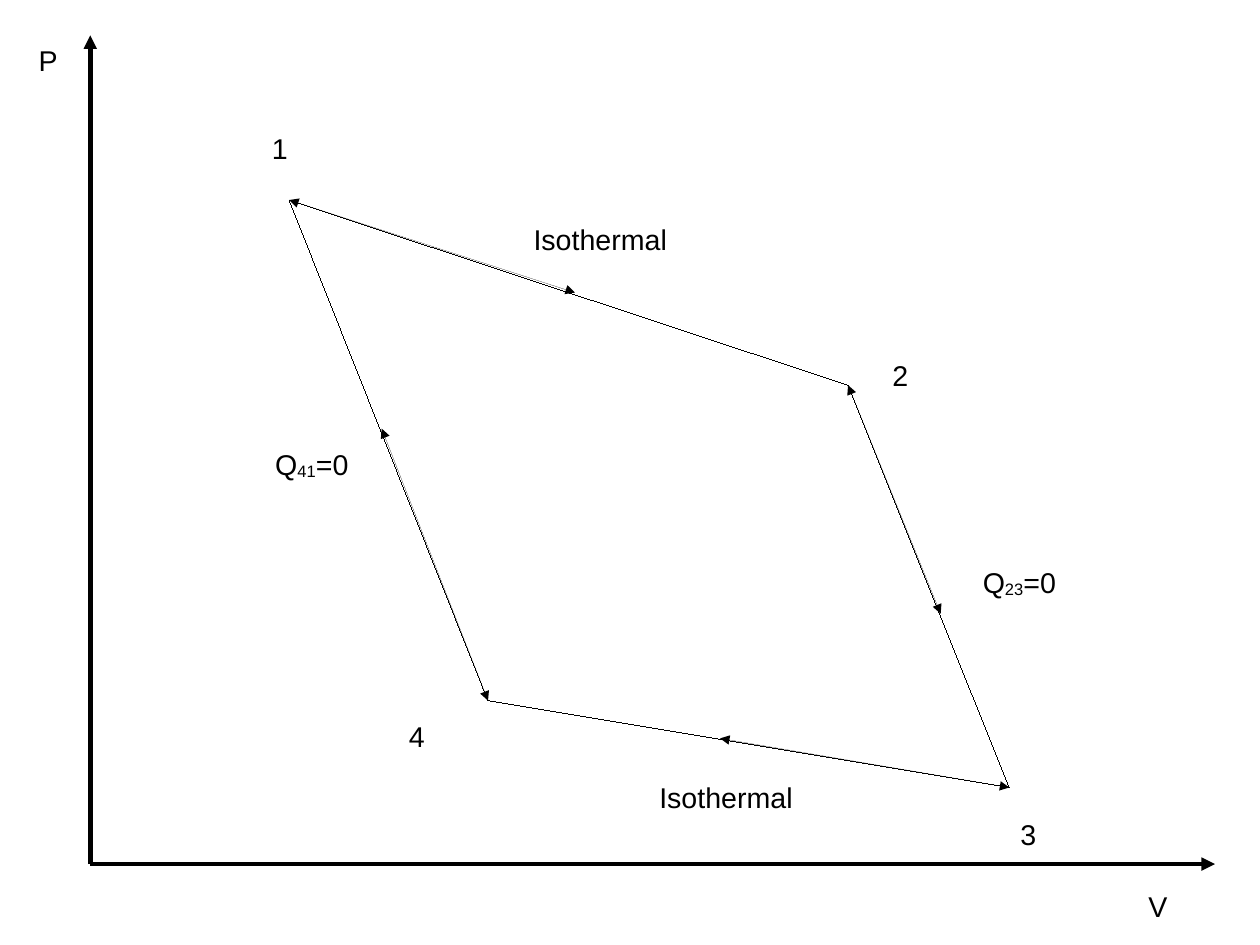
from lxml import etree
from pptx import Presentation
from pptx.dml.color import RGBColor
from pptx.enum.shapes import MSO_CONNECTOR
from pptx.enum.text import MSO_AUTO_SIZE
from pptx.oxml.ns import qn
from pptx.util import Inches, Pt

STRAIGHT = MSO_CONNECTOR.STRAIGHT
GROW = MSO_AUTO_SIZE.SHAPE_TO_FIT_TEXT
COLORS = {"ink": "000000", "background": "FFFFFF"}
FONT = "Arial"
AXIS_WIDTH, HAIRLINE = 2.83, 0
CM_PER_INCH = 2.54

# Offsets in inches from the top left corner of the cycle, in order 1 to 4
STATES = [(0, 0), (4.89, 1.62), (6.3, 5.14), (1.74, 4.38)]
STATE_LABELS = [(-0.25, -0.65), (5.18, 1.33), (6.3, 5.35), (0.95, 4.49)]
# Where the arrow on each side ends, from state 1 to 2 onwards
FLOW_TIPS = [(2.5, 0.81), (5.7, 3.62), (3.77, 4.71), (0.81, 2)]
# Left, top, width, height, text, subscript, text after the subscript
PROCESS_LABELS = [
    (2.04, 0.14, 1.37, 0.38, "Isothermal", "", ""),
    (5.97, 3.14, 0.84, 0.46, "Q", "23", "=0"),
    (3.14, 5.02, 1.37, 0.38, "Isothermal", "", ""),
    (-0.22, 2.11, 0.84, 0.46, "Q", "41", "=0"),
]


def add_line(slide, start, end, width, arrow_ends=()):
    """Draw a line; arrow_ends holds 'headEnd' (start) and/or 'tailEnd' (end)."""
    line = slide.shapes.add_connector(
        STRAIGHT, *(Inches(value) for value in (*start, *end)))
    line.line.color.rgb = RGBColor.from_string(COLORS["ink"])
    properties = line._element.spPr
    outline = properties.find(qn("a:ln"))
    # A zero width must be written out, or the theme's width applies
    outline.set("w", str(int(Pt(width))))
    for arrow_end in arrow_ends:
        etree.SubElement(outline, qn(f"a:{arrow_end}"), type="triangle")
    etree.SubElement(properties, qn("a:effectLst"))


def add_label(slide, left, top, width, height, text, subscript="", ending="", wrap=False):
    box = slide.shapes.add_textbox(*(Inches(value) for value in (left, top, width, height)))
    frame = box.text_frame
    frame.word_wrap = wrap
    frame.auto_size = GROW
    for part in filter(None, (text, subscript, ending)):
        run = frame.paragraphs[0].add_run()
        run.text = part
        run.font.name = FONT
        run.font.size = Pt(18)
        run.font.color.rgb = RGBColor.from_string(COLORS["ink"])
        if part == subscript:
            run._r.get_or_add_rPr().set("baseline", "-8000")


def draw_axes(slide, left, top, width, height):
    origin = (left, top + height)
    for end in ((left + width, top + height), (left, top)):
        add_line(slide, origin, end, AXIS_WIDTH, ["tailEnd"])
    add_label(slide, left - 0.55, top + 0.02, 0.36, 0.38, "P")
    add_label(slide, left + width - 0.68, top + height + 0.17, 0.36, 0.38, "V")


def draw_cycle(slide, left, top):
    """Draw the four processes and their labels, with state 1 at (left, top)."""
    def place(offset):
        return left + offset[0], top + offset[1]

    for index, (state, tip) in enumerate(zip(STATES, FLOW_TIPS)):
        following = STATES[(index + 1) % len(STATES)]
        add_line(slide, place(state), place(following), HAIRLINE)
        add_line(slide, place(state), place(tip), HAIRLINE, ["headEnd", "tailEnd"])
    for number, offset in enumerate(STATE_LABELS, start=1):
        add_label(slide, *place(offset), 0.46, 0.46, str(number), wrap=True)
    for x, y, *label in PROCESS_LABELS:
        add_label(slide, *place((x, y)), *label)


def main():
    presentation = Presentation()
    presentation.slide_width = Inches(28 / CM_PER_INCH)
    presentation.slide_height = Inches(21 / CM_PER_INCH)
    slide = presentation.slides.add_slide(presentation.slide_layouts[6])
    slide.background.fill.solid()
    slide.background.fill.fore_color.rgb = RGBColor.from_string(COLORS["background"])
    draw_axes(slide, 0.79, 0.31, 9.84, 7.25)
    draw_cycle(slide, 2.53, 1.75)
    presentation.save("out.pptx")


if __name__ == "__main__":
    main()
